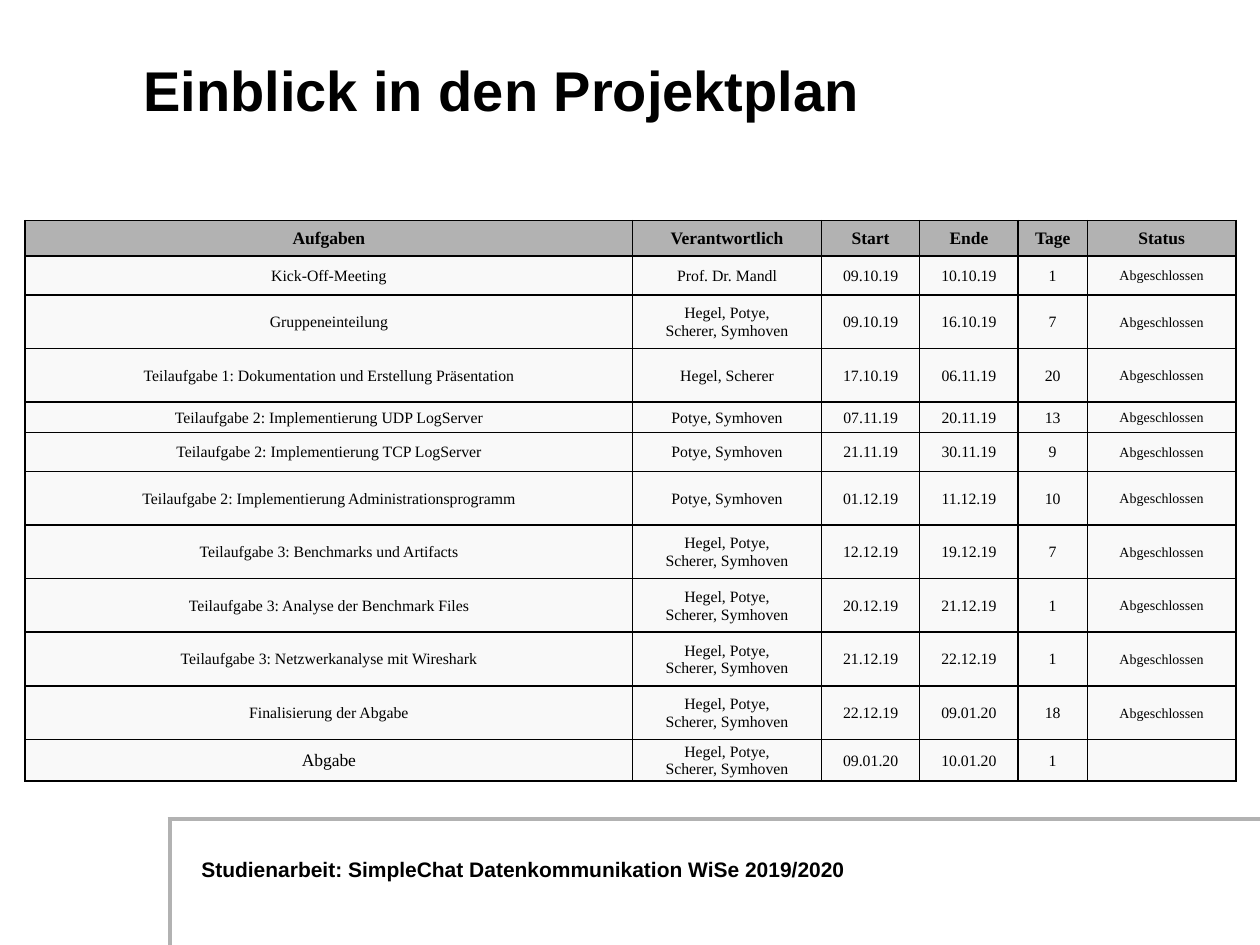
from lxml.etree import SubElement
from pptx import Presentation
from pptx.dml.color import RGBColor
from pptx.enum.shapes import MSO_CONNECTOR
from pptx.enum.text import MSO_ANCHOR, PP_ALIGN
from pptx.oxml import parse_xml
from pptx.oxml.ns import nsdecls, qn
from pptx.util import Inches, Pt

BLACK = RGBColor(0x00, 0x00, 0x00)
GREY = RGBColor(0xB2, 0xB2, 0xB2)
PALE = RGBColor(0xF9, 0xF9, 0xF9)

TEAM = "Hegel, Potye,\nScherer, Symhoven"
PAIR = "Potye, Symhoven"
DONE = "Abgeschlossen"
HEAD = ["Aufgaben", "Verantwortlich", "Start", "Ende", "Tage", "Status"]
TASKS = [
    ("Kick-Off-Meeting", "Prof. Dr. Mandl", "09.10.19", "10.10.19", "1", DONE),
    ("Gruppeneinteilung", TEAM, "09.10.19", "16.10.19", "7", DONE),
    ("Teilaufgabe 1: Dokumentation und Erstellung Präsentation",
     "Hegel, Scherer", "17.10.19", "06.11.19", "20", DONE),
    ("Teilaufgabe 2: Implementierung UDP LogServer",
     PAIR, "07.11.19", "20.11.19", "13", DONE),
    ("Teilaufgabe 2: Implementierung TCP LogServer",
     PAIR, "21.11.19", "30.11.19", "9", DONE),
    ("Teilaufgabe 2: Implementierung Administrationsprogramm",
     PAIR, "01.12.19", "11.12.19", "10", DONE),
    ("Teilaufgabe 3: Benchmarks und Artifacts",
     TEAM, "12.12.19", "19.12.19", "7", DONE),
    ("Teilaufgabe 3: Analyse der Benchmark Files",
     TEAM, "20.12.19", "21.12.19", "1", DONE),
    ("Teilaufgabe 3: Netzwerkanalyse mit Wireshark",
     TEAM, "21.12.19", "22.12.19", "1", DONE),
    ("Finalisierung der Abgabe", TEAM, "22.12.19", "09.01.20", "18", DONE),
    ("Abgabe", TEAM, "09.01.20", "10.01.20", "1", ""),
]

# Table grid: the tall rows share the height the others leave
WIDTHS = [4.82, 1.5, 0.78, 0.78, 0.55, 1.18]
HEIGHT = 4.45
SHORT = {0: 0.28, 1: 0.31, 4: 0.24, 5: 0.31, 11: 0.33}
COUNT = len(TASKS) + 1
TALL = (HEIGHT - sum(SHORT.values())) / (COUNT - len(SHORT))


def write(frame, text, size=9, bold=False, font="Arial", align=PP_ALIGN.LEFT):
    """Fill a text frame, one paragraph for each line of text."""
    for i, line in enumerate(text.split("\n")):
        para = frame.add_paragraph() if i else frame.paragraphs[0]
        para.alignment = align
        run = para.add_run()
        run.text = line
        run.font.name = font
        run.font.size = Pt(size)
        run.font.bold = bold
        run.font.color.rgb = BLACK


class Page:
    """One slide together with its table style."""

    serif = "Times New Roman"
    border = 1

    def __init__(self, deck):
        self.slide = deck.slides.add_slide(deck.slide_layouts[6])

    def line(self, x1, y1, x2, y2):
        ends = [Inches(v) for v in (x1, y1, x2, y2)]
        rule = self.slide.shapes.add_connector(MSO_CONNECTOR.STRAIGHT, *ends)
        rule.line.color.rgb = GREY
        rule.line.width = Pt(2.25)
        SubElement(rule._element.spPr, qn("a:effectLst"))

    def text(self, x, y, w, h, words, right=0.1, **style):
        box = self.slide.shapes.add_textbox(*map(Inches, (x, y, w, h)))
        frame = box.text_frame
        frame.word_wrap = True
        frame.margin_right = Inches(right)
        frame.vertical_anchor = MSO_ANCHOR.MIDDLE
        write(frame, words, **style)

    def cell(self, cell, words, fill, **style):
        cell.fill.solid()
        cell.fill.fore_color.rgb = fill
        cell.vertical_anchor = MSO_ANCHOR.MIDDLE
        cell.margin_left = cell.margin_right = cell.margin_top = Inches(0.01)
        cell.margin_bottom = 0
        write(cell.text_frame, words, font=self.serif,
              align=PP_ALIGN.CENTER, **style)
        # Borders go before the fill
        props = cell._tc.get_or_add_tcPr()
        for i, side in enumerate("LRTB"):
            props.insert(i, parse_xml(
                f'<a:ln{side} {nsdecls("a")} w="{Pt(self.border)}"><a:solidFill>'
                f'<a:srgbClr val="{BLACK}"/></a:solidFill></a:ln{side}>'))

    def table(self, x, y, rows):
        size = (x, y, sum(WIDTHS), HEIGHT)
        table = self.slide.shapes.add_table(
            len(rows), len(WIDTHS), *map(Inches, size)).table
        table.horz_banding = False
        for col, width in zip(table.columns, WIDTHS):
            col.width = Inches(width)
        for r, row in enumerate(rows):
            table.rows[r].height = Inches(SHORT.get(r, TALL))
            for c, words in enumerate(row):
                top = r == 0
                if top or words == "Abgabe":
                    size = 10
                else:
                    size = 8 if c == len(WIDTHS) - 1 else 9
                self.cell(table.cell(r, c), words, GREY if top else PALE,
                          size=size, bold=top)


def main():
    deck = Presentation()
    deck.slide_width, deck.slide_height = Inches(10), Inches(7.5)
    page = Page(deck)

    # Footer frame and text
    page.line(1.33, 6.5, 10, 6.5)
    page.line(1.35, 7.5, 1.35, 6.5)
    page.text(1.5, 6.75, 6.67, 0.3,
              "Studienarbeit: SimpleChat Datenkommunikation WiSe 2019/2020",
              right=0, size=12, bold=True)

    # Title
    page.text(1.04, 0, 7.92, 1.42, "Einblick in den Projektplan",
              size=32, bold=True)

    # Project plan
    page.table(0.2, 1.75, [HEAD, *TASKS])
    deck.save("out.pptx")


if __name__ == "__main__":
    main()
